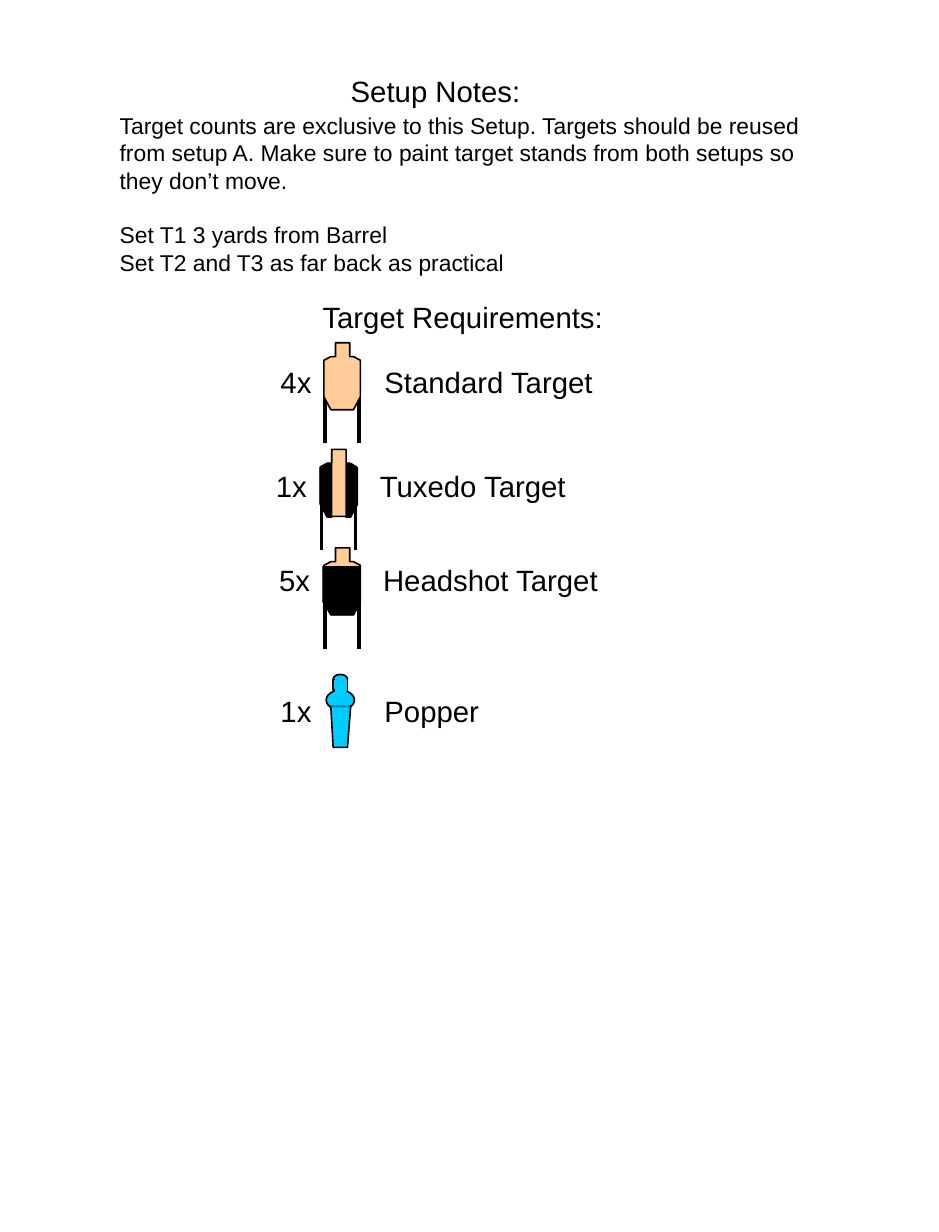
"""Build the setup notes slide with its target requirements."""
from dataclasses import dataclass
from typing import Optional

import lxml.etree
import pptx
import pptx.dml.color
import pptx.enum.shapes
import pptx.oxml.ns
import pptx.shapes.group
import pptx.util

Cm = pptx.util.Cm
Pt = pptx.util.Pt
Points = tuple[tuple[float, float], ...]


@dataclass(frozen=True)
class Theme:
    font: str = "Arial"
    ink: str = "000000"
    cardboard: str = "FFCC99"
    steel: str = "00CCFF"
    heading: float = 18
    body: float = 14
    body_pitch: float = 16.8
    outline: float = 1
    stand: float = 2.25


@dataclass(frozen=True)
class Target:
    left: float
    top: float
    black_areas: tuple[Points, ...] = ()


@dataclass(frozen=True)
class Requirement:
    count: str
    name: str
    left: float
    top: float


@dataclass(frozen=True)
class PopperPart:
    kind: pptx.enum.shapes.MSO_SHAPE
    left: float
    top: float
    width: float
    height: float
    line: Optional[str]


THEME = Theme()
OVAL = pptx.enum.shapes.MSO_SHAPE.OVAL
RECTANGLE = pptx.enum.shapes.MSO_SHAPE.RECTANGLE

SILHOUETTE: Points = (
    (0.25, 0), (0.56, 0), (0.56, 0.3), (0.64, 0.3), (0.79, 0.38), (0.79, 1.17),
    (0.64, 1.45), (0.15, 1.45), (0, 1.17), (0, 0.38), (0.15, 0.3), (0.25, 0.3),
)
RIGHT_LAPEL: Points = (
    (0.56, 0.32), (0.56, 1.47), (0.66, 1.47), (0.81, 1.19), (0.81, 0.41), (0.66, 0.3),
)
LEFT_LAPEL: Points = tuple((round(0.81 - x, 2), y) for x, y in RIGHT_LAPEL)
BLACK_BODY: Points = (
    (-0.02, 0.41), (0.79, 0.41), (0.79, 1.17), (0.64, 1.45), (0.15, 1.45), (-0.02, 1.17),
)
STAND_OFFSETS = (0.03, 0.76)
STAND_TOP, STAND_BOTTOM = 1.07, 2.18

TARGETS = (
    Target(7.01, 7.42),
    Target(6.93, 9.73, (RIGHT_LAPEL, LEFT_LAPEL)),
    Target(7.01, 11.86, (BLACK_BODY,)),
)
REQUIREMENTS = (
    Requirement("4x", "Standard Target", 5.82, 7.75),
    Requirement("1x", "Tuxedo Target", 5.72, 10.01),
    Requirement("5x", "Headshot Target", 5.79, 12.04),
    Requirement("1x", "Popper", 5.82, 14.88),
)
POPPER_ROUNDS = (
    PopperPart(OVAL, 7.21, 14.6, 0.31, 0.2, THEME.ink),
    PopperPart(OVAL, 7.06, 14.94, 0.61, 0.43, THEME.ink),
)
POPPER_LEG: Points = ((7.16, 15.29), (7.59, 15.29), (7.52, 16.18), (7.21, 16.18))
POPPER_JOINTS = (
    PopperPart(RECTANGLE, 7.21, 14.71, 0.31, 0.23, THEME.ink),
    PopperPart(RECTANGLE, 7.16, 15.27, 0.41, 0.03, None),
    PopperPart(RECTANGLE, 7.26, 14.91, 0.23, 0.05, THEME.steel),
    PopperPart(RECTANGLE, 7.26, 14.71, 0.23, 0.03, THEME.steel),
)
NOTES = (
    "Target counts are exclusive to this Setup. Targets should be reused from setup A. "
    "Make sure to paint target stands from both setups so they don’t move.",
    "Set T1 3 yards from Barrel",
    "Set T2 and T3 as far back as practical",
)


def rgb(color: str) -> pptx.dml.color.RGBColor:
    return pptx.dml.color.RGBColor.from_string(color)


def add_text(slide, paragraphs: tuple[str, ...], left: float, top: float, width: float,
             height: float = 1.02, *, size: float = THEME.heading, wrap: bool = True,
             tab: Optional[float] = None, pitch: Optional[float] = None,
             gap_before: Optional[int] = None) -> None:
    frame = slide.shapes.add_textbox(Cm(left), Cm(top), Cm(width), Cm(height)).text_frame
    frame.word_wrap = wrap
    for index, text in enumerate(paragraphs):
        paragraph = frame.paragraphs[0] if index == 0 else frame.add_paragraph()
        if tab is not None:
            properties = paragraph._p.get_or_add_pPr()
            tabs = lxml.etree.SubElement(properties, pptx.oxml.ns.qn("a:tabLst"))
            lxml.etree.SubElement(tabs, pptx.oxml.ns.qn("a:tab"), pos=str(Cm(tab)), algn="l")
        if pitch is not None:
            paragraph.line_spacing = Pt(pitch)
        if index == gap_before:
            paragraph.space_before = Pt(pitch or size)
        run = paragraph.add_run()
        run.text = text
        run.font.name = THEME.font
        run.font.size = Pt(size)
        run.font.color.rgb = rgb(THEME.ink)


def paint(shape, fill: str, line: Optional[str], width: float = THEME.outline) -> None:
    shape.shadow.inherit = False
    shape.fill.solid()
    shape.fill.fore_color.rgb = rgb(fill)
    if line is None:
        shape.line.fill.background()
    else:
        shape.line.color.rgb = rgb(line)
        shape.line.width = Pt(width)


def add_outline(group: pptx.shapes.group.GroupShape, points: Points, fill: str,
                left: float = 0, top: float = 0, width: float = THEME.outline) -> None:
    corners = [(Cm(left + x), Cm(top + y)) for x, y in points]
    builder = group.shapes.build_freeform(*corners[0])
    builder.add_line_segments(corners[1:], close=True)
    paint(builder.convert_to_shape(), fill, THEME.ink, width)


def add_stand(group: pptx.shapes.group.GroupShape, x: float, top: float, bottom: float) -> None:
    stand = group.shapes.add_connector(
        pptx.enum.shapes.MSO_CONNECTOR.STRAIGHT, Cm(x), Cm(top), Cm(x), Cm(bottom))
    stand.line.color.rgb = rgb(THEME.ink)
    stand.line.width = Pt(THEME.stand)
    lxml.etree.SubElement(stand._element.spPr, pptx.oxml.ns.qn("a:effectLst"))


def add_target(slide, target: Target) -> None:
    group = slide.shapes.add_group_shape()
    for offset in STAND_OFFSETS:
        add_stand(group, target.left + offset, target.top + STAND_TOP, target.top + STAND_BOTTOM)
    add_outline(group, SILHOUETTE, THEME.cardboard, target.left, target.top)
    for area in target.black_areas:
        add_outline(group, area, THEME.ink, target.left, target.top, width=0)


def add_popper_part(group: pptx.shapes.group.GroupShape, part: PopperPart) -> None:
    shape = group.shapes.add_shape(
        part.kind, Cm(part.left), Cm(part.top), Cm(part.width), Cm(part.height))
    paint(shape, THEME.steel, part.line)


def add_popper(slide) -> None:
    group = slide.shapes.add_group_shape()
    for part in POPPER_ROUNDS:
        add_popper_part(group, part)
    add_outline(group, POPPER_LEG, THEME.steel)
    for part in POPPER_JOINTS:
        add_popper_part(group, part)


def main() -> None:
    deck = pptx.Presentation()
    deck.slide_width, deck.slide_height = Cm(20.32), Cm(26.67)
    slide = deck.slides.add_slide(deck.slide_layouts[6])
    add_text(slide, ("Setup Notes:",), 7.34, 1.47, 4.22, wrap=False)
    add_text(slide, NOTES, 2.34, 2.29, 15.67, 3.84, size=THEME.body,
             pitch=THEME.body_pitch, gap_before=1)
    add_text(slide, ("Target Requirements:",), 6.73, 6.35, 6.86, wrap=False)
    for target in TARGETS:
        add_target(slide, target)
    add_popper(slide)
    for item in REQUIREMENTS:
        add_text(slide, (f"{item.count}\t{item.name}",), item.left, item.top, 8.23, tab=2.25)
    deck.save("out.pptx")


if __name__ == "__main__":
    main()
